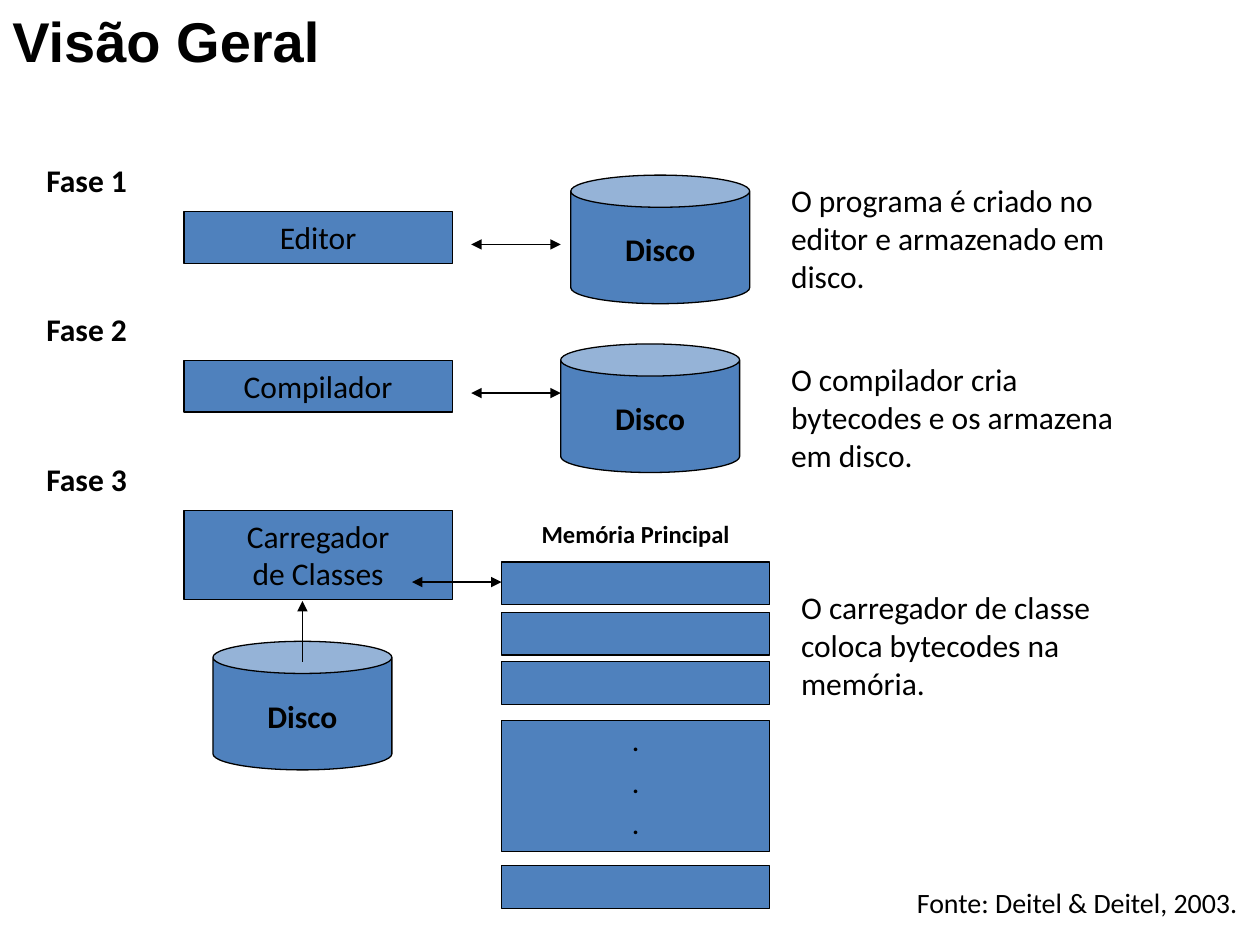
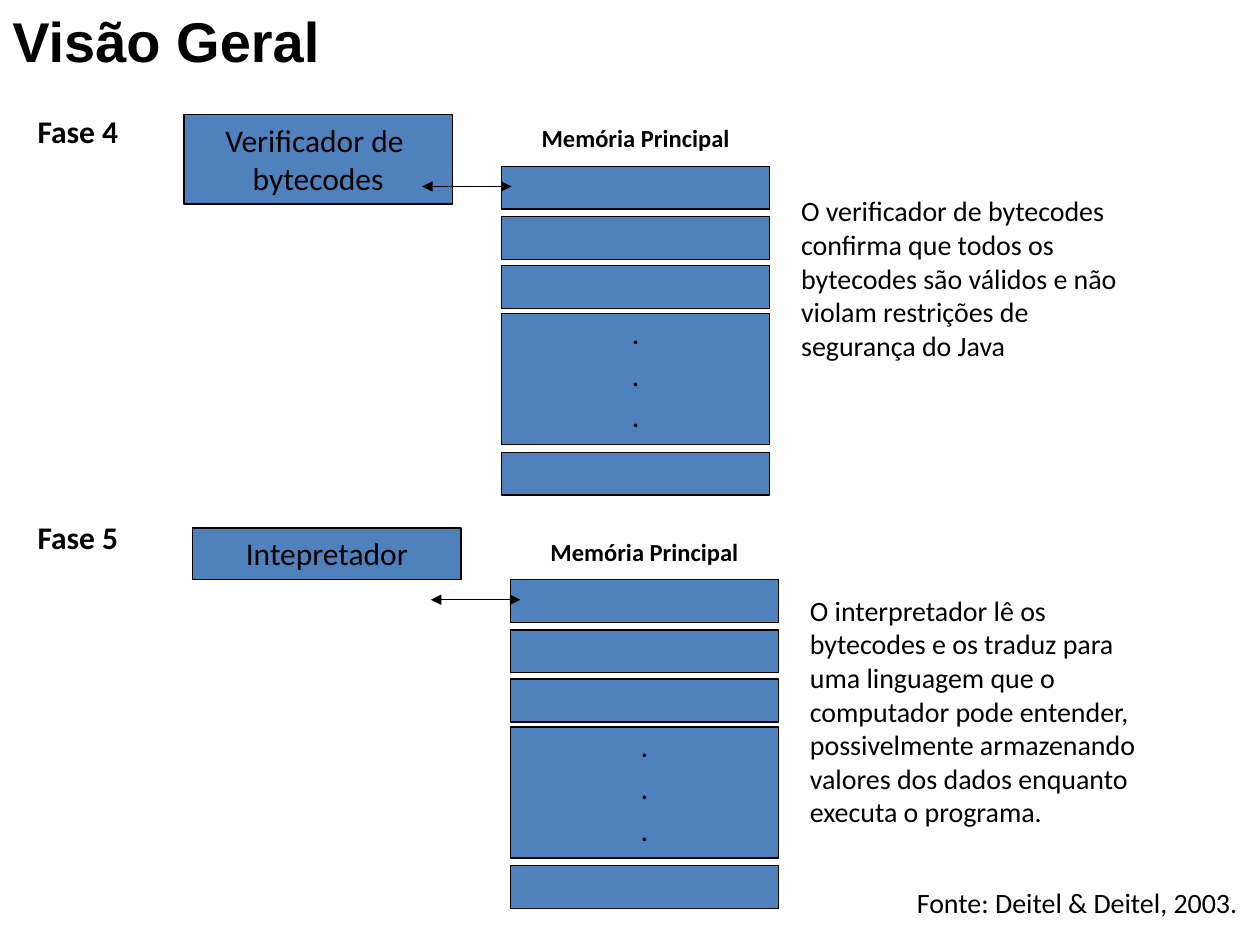
from lxml.etree import SubElement
from pptx import Presentation
from pptx.dml.color import RGBColor
from pptx.enum.shapes import MSO_CONNECTOR as Link, MSO_SHAPE as Kind
from pptx.enum.text import MSO_ANCHOR as Anchor, MSO_AUTO_SIZE as Fit, PP_ALIGN as Align
from pptx.oxml.ns import qn
from pptx.util import Emu, Pt

SCALE = 9144
COLORS = {"ink": "000000", "fill": "4F81BD", "back": "FFFFFF"}
BODY, HEAD = "Calibri", "Arial"
BOX_W, ROW_H = 213, 34


def px(*nums):
    return [Emu(num * SCALE) for num in nums]


def tint(name):
    return RGBColor.from_string(COLORS[name])


def write(shape, lines, size, bold=False, align=Align.LEFT, font=BODY):
    frame = shape.text_frame
    frame.word_wrap = True
    frame.auto_size = Fit.SHAPE_TO_FIT_TEXT
    frame.vertical_anchor = Anchor.TOP
    for i, line in enumerate(lines):
        para = frame.paragraphs[0] if i == 0 else frame.add_paragraph()
        para.alignment = align
        para.space_before = Pt(size / 2 if i else 0)
        for j, part in enumerate(line.split("\n")):
            if j:
                para.add_line_break()
            run = para.add_run()
            run.text = part
            run.font.name, run.font.size, run.font.bold = font, Pt(size), bold
            run.font.color.rgb = tint("ink")


def label(shapes, box, text, size, **style):
    write(shapes.add_textbox(*px(*box)), [text], size, **style)


def solid(shapes, kind, box):
    shape = shapes.add_shape(kind, *px(*box))
    shape.shadow.inherit = False
    shape.fill.solid()
    shape.fill.fore_color.rgb = tint("fill")
    shape.line.color.rgb = tint("ink")
    shape.line.width = Pt(0.75)
    return shape


def arrow(slide, x1, y1, x2, y2, ends=("headEnd", "tailEnd")):
    line = slide.shapes.add_connector(Link.STRAIGHT, *px(x1, y1, x2, y2))
    line.line.color.rgb = tint("ink")
    line.line.width = Pt(0.75)
    props = line.element.spPr
    for end in ends:
        SubElement(props.find(qn("a:ln")), qn("a:" + end), type="triangle")
    SubElement(props, qn("a:effectLst"))


def frame(deck):
    slide = deck.slides.add_slide(deck.slide_layouts[6])
    slide.background.fill.solid()
    slide.background.fill.fore_color.rgb = tint("back")
    label(slide.shapes, (0, 0, 1000, 64), "Visão Geral", 32, bold=True, font=HEAD)
    label(slide.shapes, (492, 698, 500, 37), "Fonte: Deitel & Deitel, 2003.", 16,
          align=Align.RIGHT)
    return slide


def phase(slide, num, x, y):
    label(slide.shapes, (x, y, 110, 40), f"Fase {num}", 18, bold=True)


def step(slide, x, y, text):
    high = 71 if "\n" in text else 41
    shape = solid(slide.shapes, Kind.RECTANGLE, (x, y, BOX_W, high))
    write(shape, [text], 18, align=Align.CENTER)


def note(slide, x, y, high, text, size):
    label(slide.shapes, (x, y, 284, high), text, size)


def disk(slide, x, y):
    group = slide.shapes.add_group_shape()
    solid(group.shapes, Kind.CAN, (x, y, 142, 102))
    label(group.shapes, (x + 16, y + 39, 110, 40), "Disco", 18, bold=True,
          align=Align.CENTER)


def memory(slide, x, y, mid, last):
    label(slide.shapes, (x, y, BOX_W, 33), "Memória Principal", 14, bold=True,
          align=Align.CENTER)
    for top in (39, 79, 118, last):
        solid(slide.shapes, Kind.RECTANGLE, (x, y + top, BOX_W, ROW_H))
    dots = solid(slide.shapes, Kind.RECTANGLE, (x, y + mid, BOX_W, 104))
    write(dots, ["."] * 3, 14, bold=True, align=Align.CENTER)


def build(deck):
    slide = frame(deck)
    steps = [
        ("Editor", 453, 139, 618, 139,
         "O programa é criado no editor e armazenado em disco."),
        ("Compilador", 445, 273, 618, 281,
         "O compilador cria bytecodes e os armazena em disco."),
        ("Carregador\nde Classes", 169, 509, 626, 462,
         "O carregador de classe coloca bytecodes na memória."),
    ]
    for i, (name, disk_x, disk_y, note_x, note_y, text) in enumerate(steps):
        top = 123 + round(118.5 * i)
        phase(slide, i + 1, 27, top)
        step(slide, 146, top + 45, name)
        disk(slide, disk_x, disk_y)
        note(slide, note_x, note_y, 100, text, 18)
    for y in (194, 312):
        arrow(slide, 374, y, 445, y)
    arrow(slide, 240, 477, 240, 525, ends=["headEnd"])
    memory(slide, 398, 407, 165, 280)
    arrow(slide, 327, 462, 398, 462)

    slide = frame(deck)
    steps = [
        ("Verificador de \nbytecodes", 146, 91, 84, 149, 170,
         "O verificador de bytecodes confirma que todos os bytecodes são válidos "
         "e não violam restrições de segurança do Java"),
        ("Intepretador", 153, 419, 406, 466, 224,
         "O interpretador lê os bytecodes e os traduz para uma linguagem que o "
         "computador pode entender, possivelmente armazenando valores dos dados "
         "enquanto executa o programa."),
    ]
    for num, (name, x, y, top, note_y, high, text) in enumerate(steps, 4):
        phase(slide, num, 20, top)
        step(slide, x, y, name)
        note(slide, x + 480, note_y, high, text, 16)
        memory(slide, x + 252, y + 2, 156, 266)
        arrow(slide, x + 189, y + 57, x + 260, y + 57)


def main():
    deck = Presentation()
    deck.slide_width, deck.slide_height = px(1000, 750)
    build(deck)
    deck.save("out.pptx")


if __name__ == "__main__":
    main()
